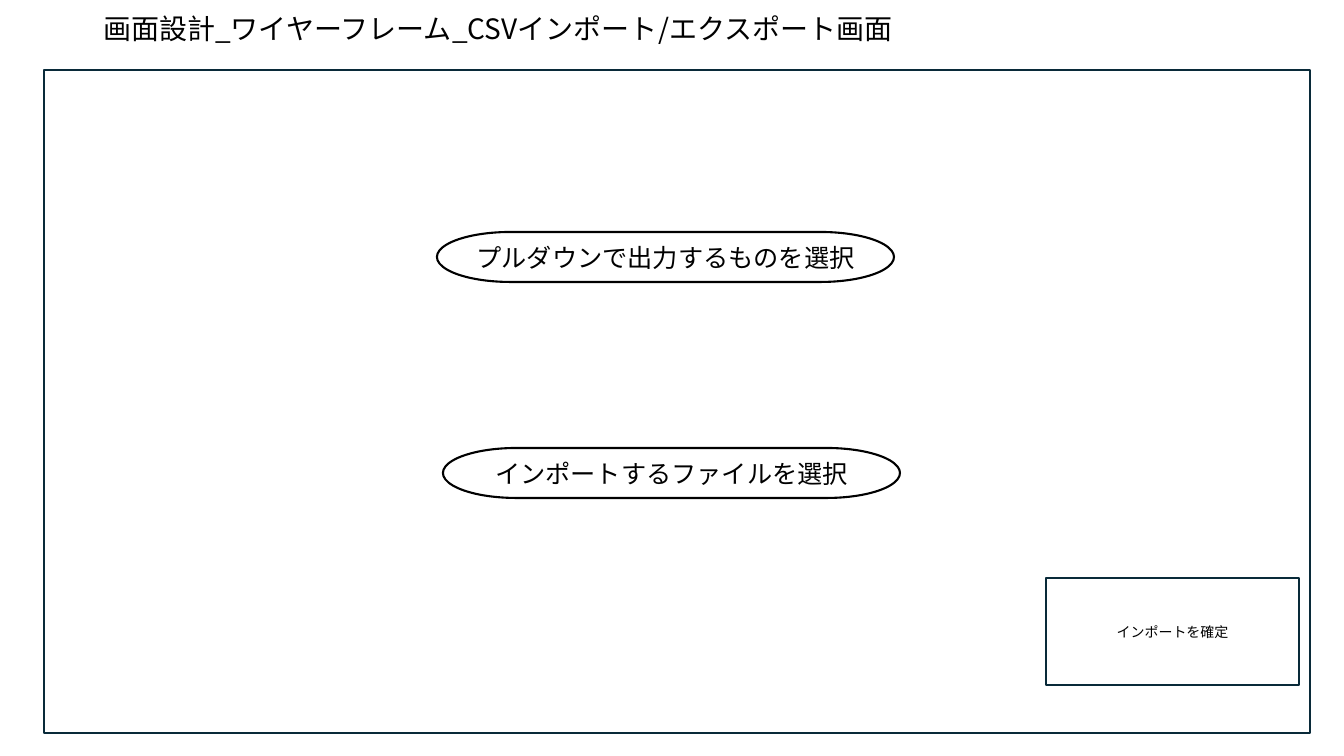
from lxml import etree
from pptx import Presentation
from pptx.dml.color import RGBColor
from pptx.enum.shapes import MSO_SHAPE as Shape
from pptx.enum.text import MSO_ANCHOR as Anchor, MSO_AUTO_SIZE as AutoSize, PP_ALIGN as Align
from pptx.oxml.ns import qn
from pptx.util import Emu, Pt

EMU_PER_PX = 914400 / 100.8
TITLE_ONLY = 5


def px(length):
    return Emu(round(length * EMU_PER_PX))


def color(hex_string):
    return RGBColor.from_string(hex_string)


class Wireframe:
    """Holds the style and the current slide."""

    font_name = "Noto Sans CJK JP"
    ink = "000000"
    paper = "FFFFFF"
    frame = "092A39"
    line_width = Pt(1.5)

    def __init__(self, slide):
        self.slide = slide

    def set_text(self, shape, text, size, align):
        text_frame = shape.text_frame
        text_frame.word_wrap = True
        text_frame.auto_size = AutoSize.NONE
        text_frame.vertical_anchor = Anchor.MIDDLE
        paragraph = text_frame.paragraphs[0]
        paragraph.text = text
        paragraph.alignment = align
        font = paragraph.font
        font.name = self.font_name
        font.size = Pt(size)
        font.color.rgb = color(self.ink)
        # Japanese glyphs take the East Asian typeface
        properties = paragraph._p.pPr.find(qn("a:defRPr"))
        etree.SubElement(properties, qn("a:ea")).set("typeface", self.font_name)
        return paragraph

    def title(self, text, left, top, width, height):
        shape = self.slide.shapes.title
        shape.left, shape.top = px(left), px(top)
        shape.width, shape.height = px(width), px(height)
        self.set_text(shape, text, 20, Align.LEFT).line_spacing = 0.9

    def outline(self, kind, left, top, width, height, line, fill=None):
        shape = self.slide.shapes.add_shape(kind, px(left), px(top), px(width), px(height))
        shape.shadow.inherit = False
        if fill:
            shape.fill.solid()
            shape.fill.fore_color.rgb = color(fill)
        else:
            shape.fill.background()
        shape.line.color.rgb = color(line)
        shape.line.width = self.line_width
        return shape

    def panel(self, left, top, width, height):
        return self.outline(Shape.RECTANGLE, left, top, width, height, self.frame)

    def selector(self, text, left, top):
        shape = self.outline(Shape.FLOWCHART_TERMINATOR, left, top, 457, 50, self.ink, self.paper)
        self.set_text(shape, text, 18, Align.CENTER)

    def button(self, text, left, top, width, height):
        self.set_text(self.panel(left, top, width, height), text, 10, Align.CENTER)


def main():
    presentation = Presentation()
    presentation.slide_width, presentation.slide_height = px(1344), px(756)
    slide = presentation.slides.add_slide(presentation.slide_layouts[TITLE_ONLY])
    wireframe = Wireframe(slide)

    # Heading and screen frame
    wireframe.title("画面設計_ワイヤーフレーム_CSVインポート/エクスポート画面", 93, 23, 818, 14)
    wireframe.panel(44, 70, 1266, 663)

    # Choices and confirmation
    wireframe.selector("プルダウンで出力するものを選択", 437, 232)
    wireframe.selector("インポートするファイルを選択", 443, 448)
    wireframe.button("インポートを確定", 1046, 578, 253, 107)

    presentation.save("out.pptx")


if __name__ == "__main__":
    main()
